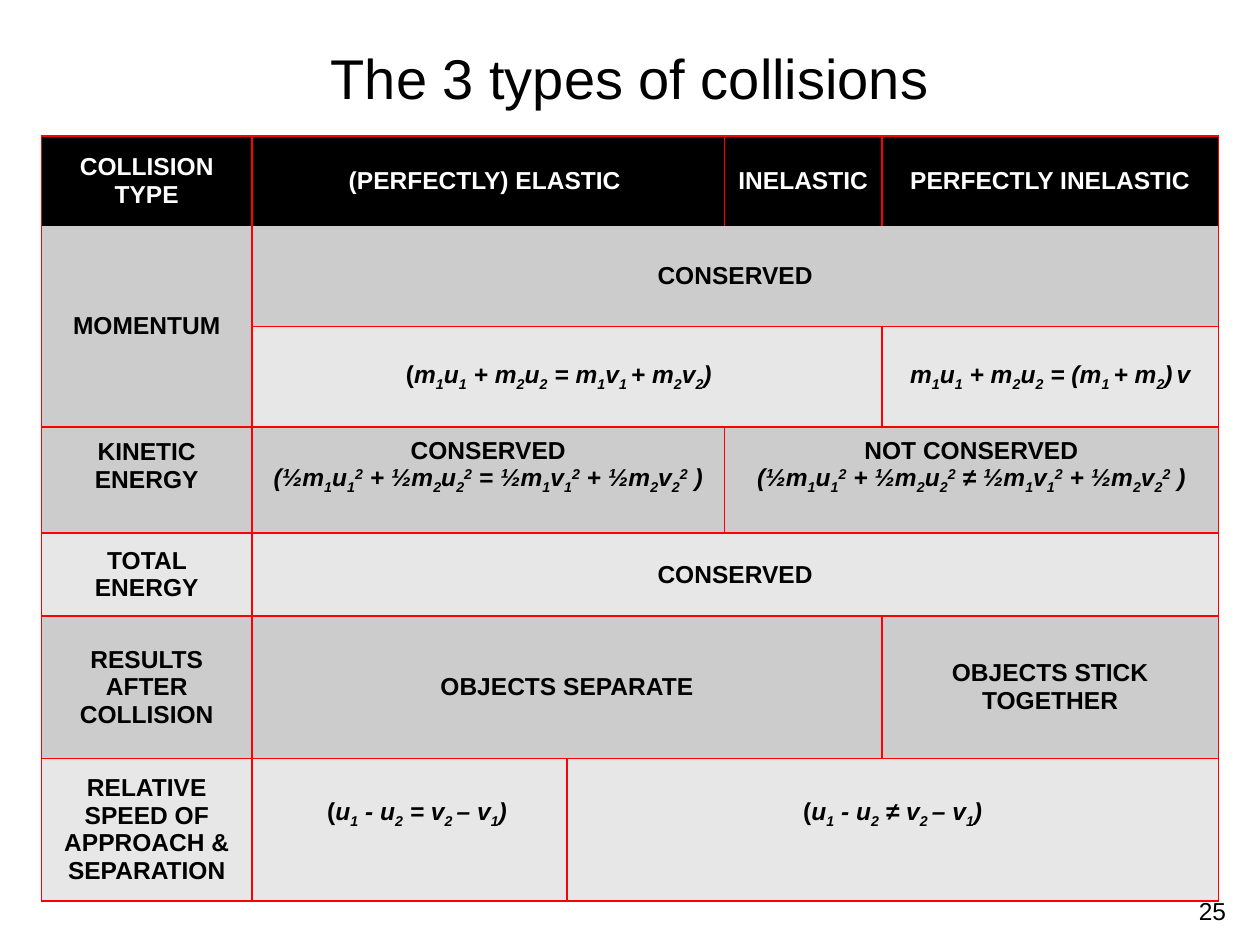
from dataclasses import dataclass

from lxml import etree
from pptx import Presentation
from pptx.dml.color import RGBColor
from pptx.enum.text import MSO_ANCHOR, PP_ALIGN
from pptx.oxml.ns import qn
from pptx.util import Inches, Pt

CENTER, RIGHT = PP_ALIGN.CENTER, PP_ALIGN.RIGHT
MIDDLE = MSO_ANCHOR.MIDDLE
BASELINES = {"_": -25000, "^": 30000}
SIDES = ("L", "R", "T", "B")


@dataclass(frozen=True)
class Theme:
    font: str = "Arial"
    title_size: int = 32
    body_size: int = 14
    ink: str = "000000"
    paper: str = "FFFFFF"
    dark: str = "CCCCCC"
    light: str = "E7E7E7"
    rule: str = "FF0000"


def split_runs(markup):
    runs, italic, baseline = [], False, 0
    for char in markup:
        if char == "*":
            italic = not italic
        elif char in BASELINES:
            baseline = BASELINES[char]
        else:
            style = (italic, baseline)
            if runs and runs[-1][1] == style:
                runs[-1] = (runs[-1][0] + char, style)
            else:
                runs.append((char, style))
            baseline = 0
    return runs


class SlideBuilder:
    def __init__(self, slide, theme):
        self.slide = slide
        self.theme = theme

    def add_lines(self, frame, lines, size, color, align=CENTER, bold=False):
        for index, line in enumerate(lines):
            paragraph = frame.add_paragraph() if index else frame.paragraphs[0]
            paragraph.alignment = align
            for text, (italic, baseline) in split_runs(line):
                run = paragraph.add_run()
                run.text = text
                font = run.font
                font.name, font.size = self.theme.font, Pt(size)
                font.bold, font.italic = bold, italic
                font.color.rgb = RGBColor.from_string(color)
                if baseline:
                    font._element.set("baseline", str(baseline))

    def title(self, text, left, top, width, height):
        title = self.slide.shapes.title
        title.left, title.top = Inches(left), Inches(top)
        title.width, title.height = Inches(width), Inches(height)
        frame = title.text_frame
        frame.vertical_anchor = MIDDLE
        frame.margin_left = frame.margin_right = frame.margin_bottom = 0
        frame.margin_top = Inches(0.04)
        self.add_lines(frame, [text], self.theme.title_size, self.theme.ink)

    def page_number(self, text, left, top, width, height):
        box = self.slide.shapes.add_textbox(
            Inches(left), Inches(top), Inches(width), Inches(height))
        box.text_frame.word_wrap = True
        self.add_lines(box.text_frame, [text], self.theme.body_size,
                       self.theme.ink, RIGHT)

    def table(self, left, top, widths, heights):
        grid = self.slide.shapes.add_table(
            len(heights), len(widths), Inches(left), Inches(top),
            Inches(sum(widths)), Inches(sum(heights))).table
        for column, width in zip(grid.columns, widths):
            column.width = Inches(width)
        for row, height in zip(grid.rows, heights):
            row.height = Inches(height)
        for index, row in enumerate(grid.rows):
            plain = {0: "B", 1: "T"}.get(index)
            for cell in row.cells:
                for side in SIDES:
                    self.border(cell, side, side != plain)
        return grid

    def border(self, cell, side, visible):
        line = etree.SubElement(cell._tc.get_or_add_tcPr(),
                                qn(f"a:ln{side}"), w=str(Pt(1)))
        if visible:
            fill = etree.SubElement(line, qn("a:solidFill"))
            etree.SubElement(fill, qn("a:srgbClr"), val=self.theme.rule)
        else:
            etree.SubElement(line, qn("a:noFill"))

    def cell(self, grid, row, col, lines, fill, rows=1, cols=1,
             color=None, left=0.1, right=0.1, bottom=0.05):
        cell = grid.cell(row, col)
        if rows * cols > 1:
            cell.merge(grid.cell(row + rows - 1, col + cols - 1))
        cell.fill.solid()
        cell.fill.fore_color.rgb = RGBColor.from_string(fill)
        cell.vertical_anchor = MIDDLE
        cell.margin_left, cell.margin_right = Inches(left), Inches(right)
        cell.margin_top, cell.margin_bottom = Inches(0.05), Inches(bottom)
        self.add_lines(cell.text_frame, lines, self.theme.body_size,
                       color or self.theme.ink, bold=True)


def kinetic_formula(sign):
    return (f"*(½m_1u_1^2 + ½m_2u_2^2 {sign} "
            "½m_1v_1^2 + ½m_2v_2^2 )*")


def speed_formula(sign):
    return f"(*u_1 - u_2 {sign} v_2_ – v_1)*"


theme = Theme()
presentation = Presentation()
presentation.slide_width, presentation.slide_height = Inches(10), Inches(7.5)
builder = SlideBuilder(
    presentation.slides.add_slide(presentation.slide_layouts[5]), theme)

builder.page_number("25", 7.5, 7.06, 2.33, 0.52)
builder.title("The 3 types of collisions", 0.5, 0.26, 9, 0.66)
collisions = builder.table(
    0.33, 1.08, [1.67, 2.5, 1.25, 1.25, 2.67],
    [0.71, 0.8, 0.8, 0.84, 0.66, 1.13, 1.13])

for col, heading, cols in [(0, "COLLISION TYPE", 1),
                           (1, "(PERFECTLY) ELASTIC ", 2),
                           (3, "INELASTIC", 1),
                           (4, "PERFECTLY INELASTIC", 1)]:
    builder.cell(collisions, 0, col, [heading], theme.ink, cols=cols,
                 color=theme.paper)

dark, light = theme.dark, theme.light
kinetic_bottom, speed_bottom = 0.27, 0.3
for row, col, lines, fill, layout in [
    (1, 0, ["MOMENTUM"], dark, dict(rows=2)),
    (1, 1, ["CONSERVED"], dark, dict(cols=4)),
    (2, 1, ["(*m_1u_1 + m_2u_2 = m_1v_1_ + m_2v_2)*"], light,
     dict(cols=3, right=0.23)),
    (2, 4, ["*m_1u_1 + m_2u_2 = (m_1_ + m_2)_ v*"], light, {}),
    (3, 0, ["KINETIC ENERGY"], dark, dict(bottom=kinetic_bottom)),
    (3, 1, ["CONSERVED", kinetic_formula("=")], dark,
     dict(cols=2, bottom=kinetic_bottom)),
    (3, 3, ["NOT CONSERVED", kinetic_formula("≠")], dark,
     dict(cols=2, bottom=kinetic_bottom)),
    (4, 0, ["TOTAL ENERGY"], light, {}),
    (4, 1, ["CONSERVED"], light, dict(cols=4)),
    (5, 0, ["RESULTS AFTER COLLISION"], dark, {}),
    (5, 1, ["OBJECTS SEPARATE"], dark, dict(cols=3)),
    (5, 4, ["OBJECTS STICK TOGETHER"], dark, {}),
    (6, 0, ["RELATIVE SPEED OF APPROACH & SEPARATION"], light, {}),
    (6, 1, [speed_formula("=")], light,
     dict(left=0.22, bottom=speed_bottom)),
    (6, 2, [speed_formula("≠")], light, dict(cols=3, bottom=speed_bottom)),
]:
    builder.cell(collisions, row, col, lines, fill, **layout)

presentation.save("out.pptx")
